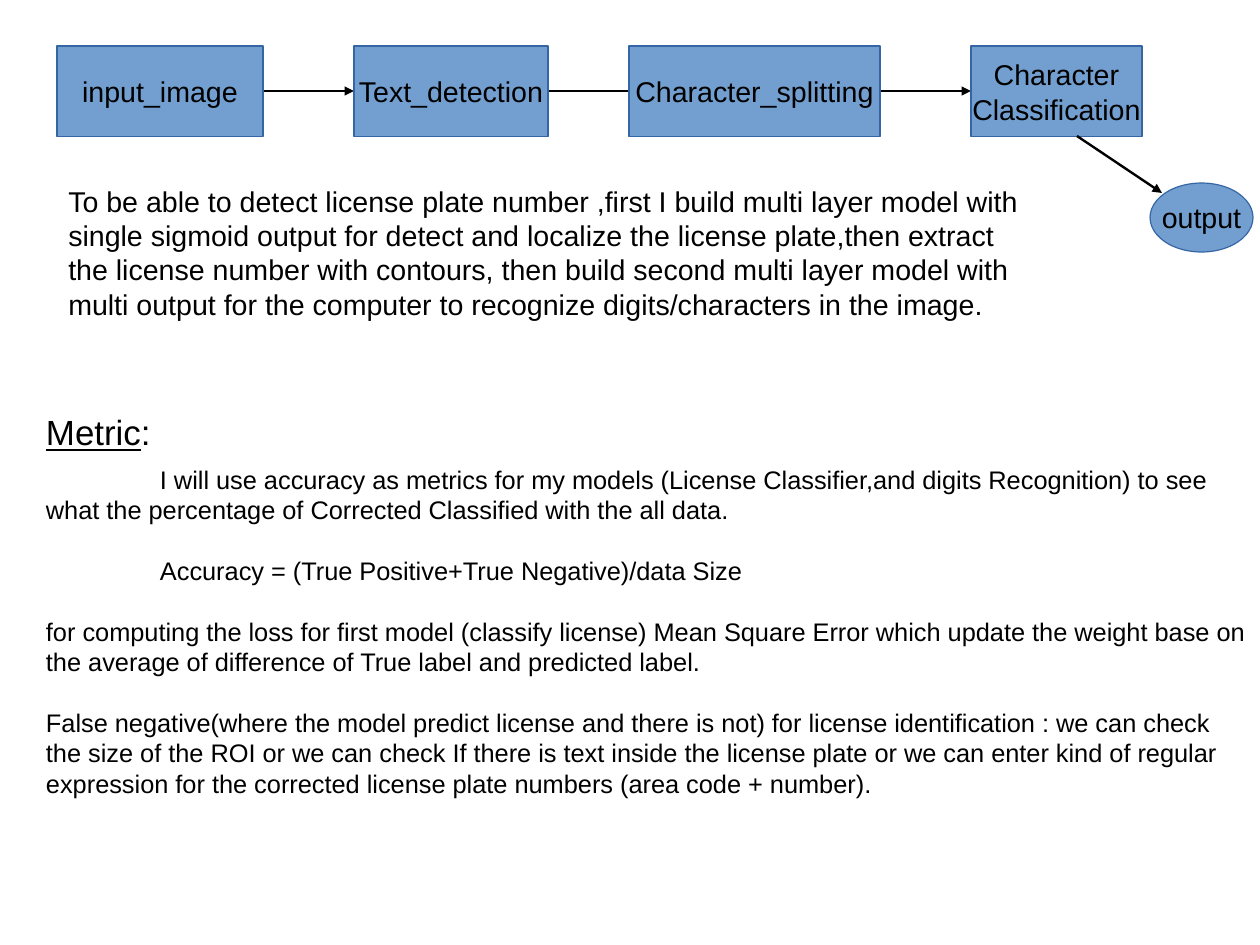
from lxml import etree
from pptx import Presentation
from pptx.dml.color import RGBColor
from pptx.enum.shapes import MSO_CONNECTOR, MSO_SHAPE
from pptx.enum.text import MSO_ANCHOR, MSO_AUTO_SIZE, PP_ALIGN
from pptx.oxml.ns import qn
from pptx.util import Emu, Pt

RECT, OVAL = MSO_SHAPE.RECTANGLE, MSO_SHAPE.OVAL
STRAIGHT = MSO_CONNECTOR.STRAIGHT
LEFT, CENTER = PP_ALIGN.LEFT, PP_ALIGN.CENTER
TOP, MIDDLE = MSO_ANCHOR.TOP, MSO_ANCHOR.MIDDLE
GROW = MSO_AUTO_SIZE.SHAPE_TO_FIT_TEXT

EMU_PER_PX = 8000  # 1260 by 945 px is 28 by 21 cm
FONT = "Arial"
BLACK, BLUE, DARK_BLUE = "000000", "729FCF", "3465A4"

STEP_TOP, STEP_HEIGHT, ARROW_LENGTH = 46, 91, 91
STEPS = [  # left, width, label
    (57, 206, "input_image"),
    (354, 194, "Text_detection"),
    (629, 251, "Character_splitting"),
    (971, 171, "Character\nClassification"),
]
SUMMARY = (
    "To be able to detect license plate number ,first I build multi layer model "
    "with single sigmoid output for detect and localize the license plate,then "
    "extract the license number with contours, then build second multi layer model "
    "with multi output for the computer to recognize digits/characters in the image."
)
METRIC_NOTES = [  # space before in points, first-line indent in px, text
    (7, 114, "I will use accuracy as metrics for my models (License Classifier,and "
     "digits Recognition) to see what the percentage of Corrected Classified with "
     "the all data."),
    (19, 114, "Accuracy = (True Positive+True Negative)/data Size"),
    (19, 0, "for computing the loss for first model (classify license) Mean Square "
     "Error which update the weight base on the average of difference of True label "
     "and predicted label."),
    (19, 0, "False negative(where the model predict license and there is not) for "
     "license identification : we can check the size of the ROI or we can check If "
     "there is text inside the license plate or we can enter kind of regular "
     "expression for the corrected license plate numbers (area code + number)."),
]


def px(n):
    return Emu(n * EMU_PER_PX)


def rgb(value):
    return RGBColor.from_string(value)


def format_paragraph(p, size, align=LEFT):
    p.alignment = align
    p.font.name = FONT
    p.font.size = Pt(size)
    p.font.color.rgb = rgb(BLACK)


def add_node(s, kind, left, top, width, height, label):
    """Add a filled flowchart shape with a centred label."""
    sp = s.shapes.add_shape(kind, px(left), px(top), px(width), px(height))
    sp.shadow.inherit = False
    sp.fill.solid()
    sp.fill.fore_color.rgb = rgb(BLUE)
    sp.line.color.rgb = rgb(DARK_BLUE)
    sp.line.width = Pt(0)
    tf = sp.text_frame
    tf.text = label
    tf.word_wrap = False
    tf.vertical_anchor = MIDDLE
    for p in tf.paragraphs:
        format_paragraph(p, 18, CENTER)


def add_arrow(s, x1, y1, x2, y2):
    cxn = s.shapes.add_connector(STRAIGHT, px(x1), px(y1), px(x2), px(y2))
    cxn.line.color.rgb = rgb(BLACK)
    cxn.line.width = Pt(1.5)
    etree.SubElement(cxn.line._get_or_add_ln(), qn("a:tailEnd"), type="triangle")
    etree.SubElement(cxn._element.spPr, qn("a:effectLst"))


def add_summary(s):
    tf = s.shapes.add_textbox(px(57), px(178), px(994), px(171)).text_frame
    tf.word_wrap = True
    tf.auto_size = GROW
    tf.text = SUMMARY
    format_paragraph(tf.paragraphs[0], 18)


def fill_metric(sp):
    """Place the title placeholder and write the metric heading and notes."""
    sp.left, sp.top, sp.width, sp.height = px(46), px(411), px(1200), px(389)
    tf = sp.text_frame
    tf.margin_left = tf.margin_top = tf.margin_right = tf.margin_bottom = 0
    tf.word_wrap = True
    tf.auto_size = GROW
    tf.vertical_anchor = TOP
    heading = tf.paragraphs[0]
    r = heading.add_run()
    r.text = "Metric"
    r.font.underline = True
    heading.add_run().text = ":"
    format_paragraph(heading, 22)
    for space, indent, text in METRIC_NOTES:
        p = tf.add_paragraph()
        p.text = text
        p.space_before = Pt(space)
        p._p.get_or_add_pPr().set("indent", str(px(indent)))
        format_paragraph(p, 16)


def main():
    prs = Presentation()
    prs.slide_width, prs.slide_height = px(1260), px(945)
    s = prs.slides.add_slide(prs.slide_layouts[5])
    fill_metric(s.shapes.title)

    middle = STEP_TOP + STEP_HEIGHT // 2
    for left, width, _ in STEPS[:-1]:
        right = left + width
        add_arrow(s, right, middle, right + ARROW_LENGTH, middle)
    for left, width, label in STEPS:
        add_node(s, RECT, left, STEP_TOP, width, STEP_HEIGHT, label)
    add_arrow(s, 1077, 136, 1162, 193)
    add_node(s, OVAL, 1150, 183, 103, 69, "output")

    add_summary(s)
    prs.save("out.pptx")


if __name__ == "__main__":
    main()
